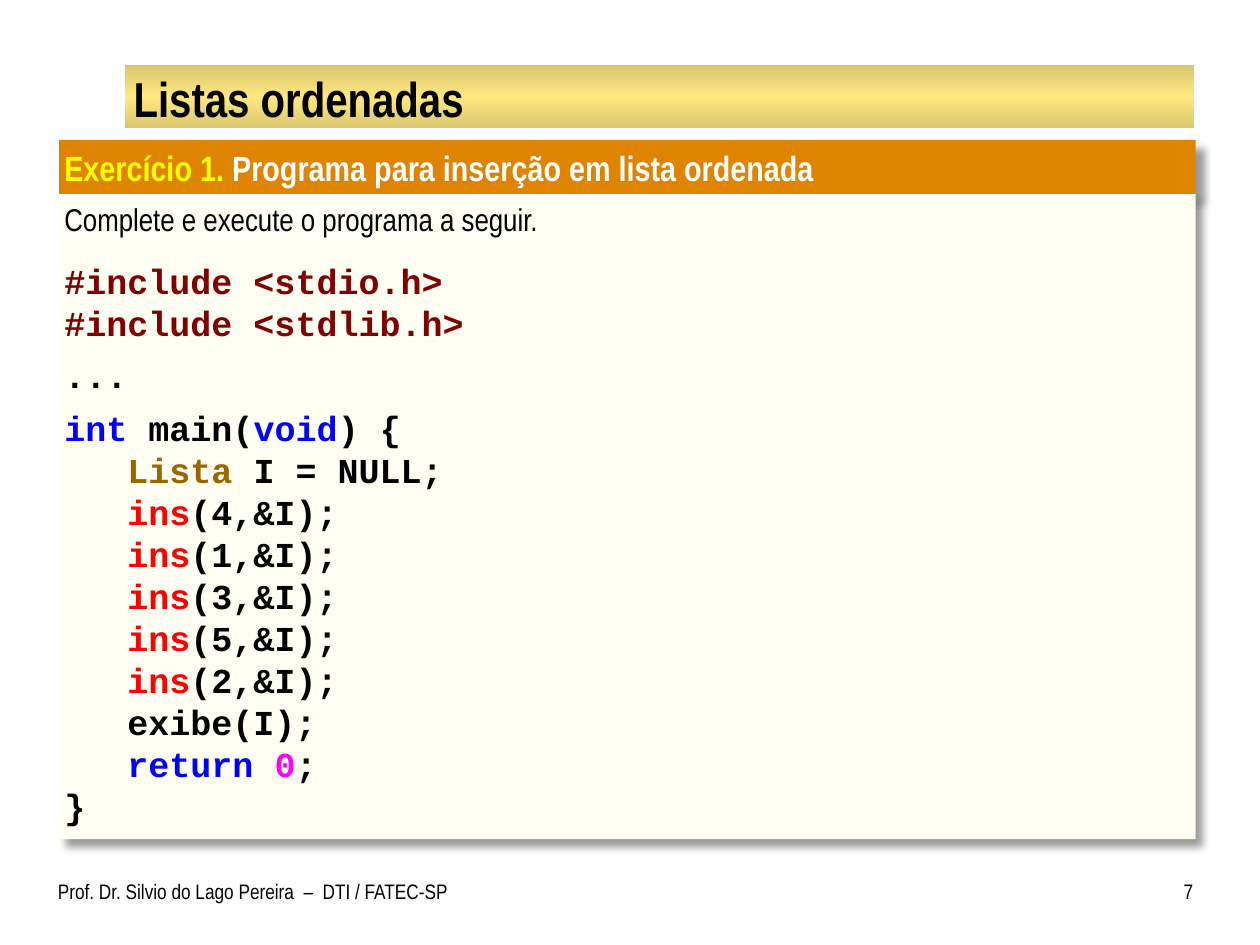
"""Build the slide with the ordered list insertion exercise."""
import copy
from dataclasses import dataclass
from typing import Any, Optional

import lxml.etree
import pptx
import pptx.dml.color
import pptx.enum.shapes
import pptx.enum.text
import pptx.oxml.ns
import pptx.util

RGBColor = pptx.dml.color.RGBColor
BLACK = RGBColor(0x00, 0x00, 0x00)
WHITE = RGBColor(0xFF, 0xFF, 0xFF)
YELLOW = RGBColor(0xFF, 0xFF, 0x00)
ORANGE = RGBColor(0xDE, 0x84, 0x00)
IVORY = RGBColor(0xFF, 0xFF, 0xF3)
DARK_GOLD = RGBColor(0xDA, 0xC6, 0x6E)
GOLD = RGBColor(0xFF, 0xE7, 0x81)
MAROON = RGBColor(0x80, 0x00, 0x00)
BLUE = RGBColor(0x00, 0x00, 0xFF)
BROWN = RGBColor(0x99, 0x66, 0x00)
RED = RGBColor(0xFF, 0x00, 0x00)
MAGENTA = RGBColor(0xFF, 0x00, 0xFF)

COLUMNS, ROWS = 100, 75
SLIDE_WIDTH, SLIDE_HEIGHT = pptx.util.Inches(10), pptx.util.Inches(7.5)
ALIGN = pptx.enum.text.PP_ALIGN
ANCHOR = pptx.enum.text.MSO_ANCHOR
AUTO_SIZE = pptx.enum.text.MSO_AUTO_SIZE
CODE_INDENT = pptx.util.Inches(0.5)


@dataclass(frozen=True)
class Box:
    column: float
    row: float
    columns: float
    rows: float

    def lengths(self) -> tuple[int, int, int, int]:
        return (
            round(self.column * SLIDE_WIDTH / COLUMNS),
            round(self.row * SLIDE_HEIGHT / ROWS),
            round(self.columns * SLIDE_WIDTH / COLUMNS),
            round(self.rows * SLIDE_HEIGHT / ROWS),
        )


@dataclass(frozen=True)
class Style:
    name: str
    size: float
    bold: bool = False


@dataclass(frozen=True)
class Line:
    words: tuple[tuple[str, RGBColor], ...]
    style: Style
    before: float = 0
    align: Optional[Any] = ALIGN.LEFT
    indented: bool = False


TITLE = Style("Arial Narrow", 28, True)
HEADING = Style("Arial Narrow", 20, True)
BODY = Style("Arial Narrow", 18)
FOOTER = Style("Arial Narrow", 12)
CODE = Style("Courier New", 20, True)


def apply(target: Any, values: dict[str, Any]) -> None:
    for name, value in values.items():
        setattr(target, name, value)


def write(shape: Any, lines: list[Line], insets: tuple[float, float, float, float],
          anchor: Any = ANCHOR.TOP, auto_size: Any = AUTO_SIZE.NONE) -> None:
    frame = shape.text_frame
    sides = ("margin_left", "margin_top", "margin_right", "margin_bottom")
    apply(frame, dict(zip(sides, map(pptx.util.Inches, insets))))
    apply(frame, {"word_wrap": True, "vertical_anchor": anchor, "auto_size": auto_size})
    for index, line in enumerate(lines):
        paragraph = frame.add_paragraph() if index else frame.paragraphs[0]
        apply(paragraph, {"alignment": line.align, "space_before": pptx.util.Pt(line.before)})
        if line.indented:
            paragraph._p.get_or_add_pPr().set("marL", str(CODE_INDENT))
        for text, color in line.words:
            run = paragraph.add_run()
            run.text = text
            apply(run.font, {"name": line.style.name, "size": pptx.util.Pt(line.style.size),
                             "bold": line.style.bold})
            run.font.color.rgb = color


def add_rectangle(slide: Any, box: Box, color: Optional[RGBColor] = None) -> Any:
    shape = slide.shapes.add_shape(pptx.enum.shapes.MSO_SHAPE.RECTANGLE, *box.lengths())
    shape.shadow.inherit = False
    shape.line.fill.background()
    if color is not None:
        shape.fill.solid()
        shape.fill.fore_color.rgb = color
    return shape


def add_shadow(shape: Any) -> None:
    qn = pptx.oxml.ns.qn
    effects = shape.element.spPr.find(qn("a:effectLst"))
    shadow = lxml.etree.SubElement(effects, qn("a:outerShdw"), {
        "blurRad": str(pptx.util.Pt(4)), "dist": str(pptx.util.Pt(6)),
        "dir": "2700000", "algn": "tl", "rotWithShape": "0"})
    color = lxml.etree.SubElement(shadow, qn("a:srgbClr"), {"val": str(BLACK)})
    lxml.etree.SubElement(color, qn("a:alpha"), {"val": "40000"})


def add_title_band(slide: Any) -> None:
    band = add_rectangle(slide, Box(9.9, 5.2, 84.9, 5))
    band.fill.gradient()
    band.fill.gradient_angle = 90
    stops = band.element.spPr.find(".//" + pptx.oxml.ns.qn("a:gsLst"))
    stops.insert(1, copy.deepcopy(stops[0]))
    gradient = ((0, DARK_GOLD), (0.5, GOLD), (1, DARK_GOLD))
    for stop, (position, color) in zip(band.fill.gradient_stops, gradient):
        stop.position = position
        stop.color.rgb = color
    slide.shapes.title.element.addprevious(band.element)


def add_title(slide: Any) -> None:
    title = slide.shapes.title
    lengths = Box(10, 5.4, 84.7, 4.7).lengths()
    apply(title, dict(zip(("left", "top", "width", "height"), lengths)))
    write(title, [Line((("Listas ordenadas", BLACK),), TITLE)],
          (0.06, 0.01, 0.06, 0.01), ANCHOR.MIDDLE)


def add_panel(slide: Any, box: Box, color: RGBColor, lines: list[Line],
              right_inset: float) -> None:
    panel = add_rectangle(slide, box, color)
    add_shadow(panel)
    write(panel, lines, (0.04, 0.05, right_inset, 0.05),
          auto_size=AUTO_SIZE.SHAPE_TO_FIT_TEXT)


def add_note(slide: Any, box: Box, text: str, align: Any,
             insets: tuple[float, float, float, float]) -> None:
    note = slide.shapes.add_textbox(*box.lengths())
    write(note, [Line(((text, BLACK),), FOOTER, align=align)], insets)


def code(*words: tuple[str, RGBColor], before: float = 0, indented: bool = False,
         align: Any = ALIGN.LEFT) -> Line:
    return Line(words, CODE, before, align, indented)


def program() -> list[Line]:
    insertions = [code(("ins", RED), (f"({value},&I);", BLACK), indented=True)
                  for value in (4, 1, 3, 5, 2)]
    return [
        Line((("Complete e execute o programa a seguir.", BLACK),), BODY, 6, ALIGN.JUSTIFY),
        code(("#include <stdio.h>", MAROON), before=12, align=ALIGN.JUSTIFY),
        code(("#include <stdlib.h>", MAROON), align=ALIGN.JUSTIFY),
        code(("...", BLACK), before=6),
        code(("int", BLUE), (" main(", BLACK), ("void", BLUE), (") {", BLACK), before=6),
        code(("Lista", BROWN), (" I = NULL;", BLACK), indented=True),
        *insertions,
        code(("exibe(I);", BLACK), indented=True),
        code(("return ", BLUE), ("0", MAGENTA), (";", BLACK), indented=True),
        code(("}", BLACK)),
    ]


def main() -> None:
    presentation = pptx.Presentation()
    apply(presentation, {"slide_width": SLIDE_WIDTH, "slide_height": SLIDE_HEIGHT})
    slide = presentation.slides.add_slide(presentation.slide_layouts.get_by_name("Title Only"))
    add_title_band(slide)
    add_title(slide)
    heading = Line((("Exercício 1.", YELLOW),
                    (" Programa para inserção em lista ordenada", WHITE)), HEADING)
    add_panel(slide, Box(4.7, 11.1, 90.2, 4.4), ORANGE, [heading], 0.1)
    add_panel(slide, Box(4.7, 15.4, 90.2, 51.2), IVORY, program(), 0.04)
    add_note(slide, Box(4.6, 69.2, 32.7, 4.2),
             "Prof. Dr. Silvio do Lago Pereira  –  DTI / FATEC-SP", ALIGN.LEFT,
             (0, 0.05, 0.1, 0.05))
    add_note(slide, Box(90.8, 69.2, 3.9, 4.2), "7", ALIGN.RIGHT, (0.1, 0.05, 0, 0.05))
    presentation.save("out.pptx")


main()
